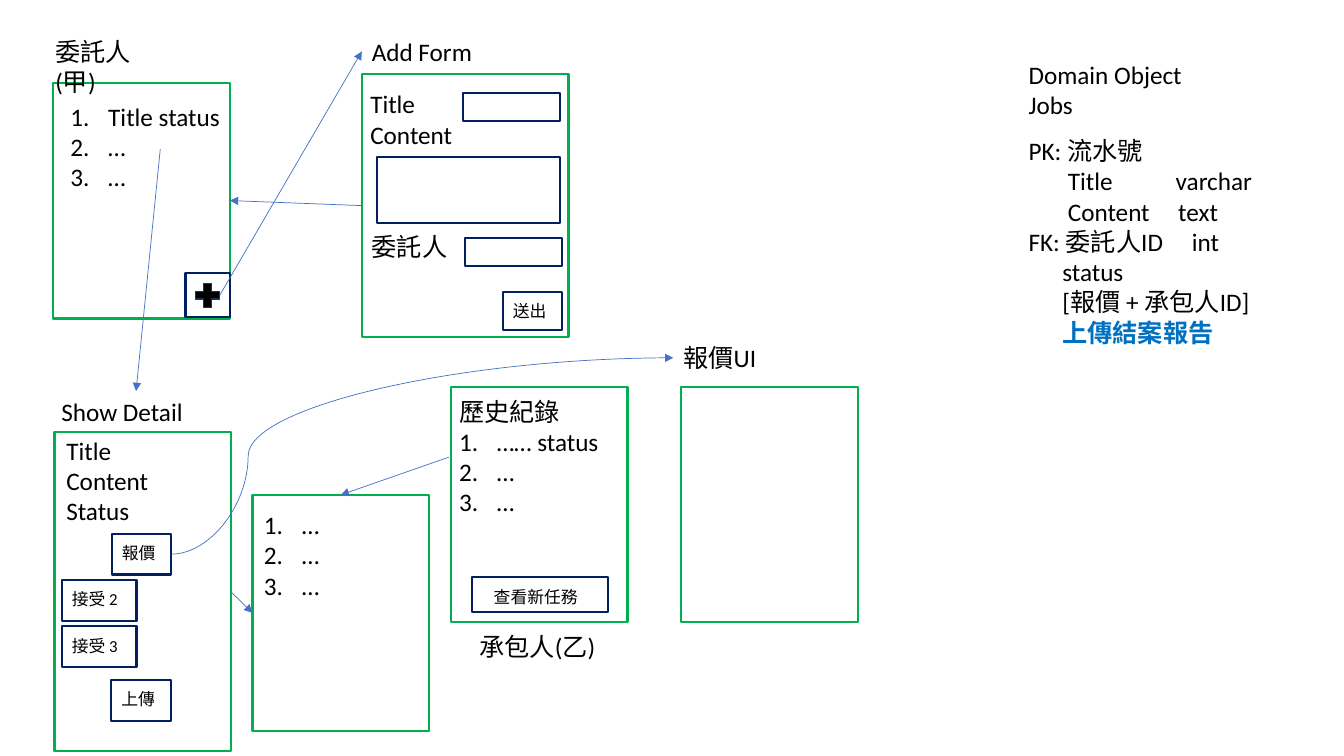
from dataclasses import dataclass
from typing import Any, Optional

import lxml.etree
import pptx
import pptx.dml.color
import pptx.enum.shapes
import pptx.enum.text
import pptx.oxml.ns
import pptx.util

SHAPE = pptx.enum.shapes.MSO_SHAPE
LINK = pptx.enum.shapes.MSO_CONNECTOR
TOP, LEFT, RIGHT = 0, 1, 3
CELL = pptx.util.Inches(0.1)
COLS, ROWS = 133.33, 75


@dataclass(frozen=True)
class Theme:
    font: str = "Calibri"
    ink: str = "000000"
    frame: str = "00B050"
    field: str = "002060"
    arrow: str = "4472C4"
    plus: str = "1E3256"
    accent: str = "0070C0"
    body: float = 18
    small: float = 12
    edge: float = 1.5
    thin: float = 0.5


@dataclass(frozen=True)
class Box:
    key: str
    x: float
    y: float
    w: float
    h: float


@dataclass(frozen=True)
class Line:
    text: str
    left: float = 0
    tabs: tuple[float, ...] = ()
    num: bool = False
    bold: bool = False
    color: str = Theme.ink


@dataclass(frozen=True)
class Label:
    box: Box
    lines: tuple[Line, ...]
    size: float = Theme.body


@dataclass(frozen=True)
class Arrow:
    start: Any
    end: Any
    bend: Optional[int] = None


def span(cells: float) -> int:
    return round(cells * CELL)


def tint(code: str) -> pptx.dml.color.RGBColor:
    return pptx.dml.color.RGBColor.from_string(code)


def child(node: Any, tag: str, **attrs: Any) -> Any:
    part = lxml.etree.SubElement(node, pptx.oxml.ns.qn(tag))
    for key, value in attrs.items():
        part.set(key, str(value))
    return part


def draw(slide: Any, box: Box, color: str, kind: Any = SHAPE.RECTANGLE,
         fill: Optional[str] = None, edge: float = Theme.edge) -> Any:
    shape = slide.shapes.add_shape(kind, *map(span, (box.x, box.y, box.w, box.h)))
    shape.shadow.inherit = False
    if fill:
        shape.fill.solid()
        shape.fill.fore_color.rgb = tint(fill)
    else:
        shape.fill.background()
    shape.line.color.rgb = tint(color)
    shape.line.width = pptx.util.Pt(edge)
    return shape


def write(para: Any, text: str, *, size: float, color: str, bold: bool,
          left: float, tabs: tuple[float, ...], num: bool) -> None:
    run = para.add_run()
    run.text = text
    run.font.name = Theme.font
    run.font.size = pptx.util.Pt(size)
    run.font.color.rgb = tint(color)
    if bold:
        run.font.bold = True
    props = para._p.get_or_add_pPr()
    if left:
        props.set("marL", str(span(left)))
        props.set("indent", str(span(-left) if num else 0))
    if num:
        child(props, "a:buFont", typeface="+mj-lt")
        child(props, "a:buAutoNum", type="arabicPeriod")
    if tabs:
        stops = child(props, "a:tabLst")
        for stop in tabs:
            child(stops, "a:tab", pos=span(stop), algn="l")


def place(slide: Any, label: Label) -> Any:
    box = label.box
    shape = slide.shapes.add_textbox(*map(span, (box.x, box.y, box.w, box.h)))
    frame = shape.text_frame
    frame.word_wrap = True
    frame.auto_size = pptx.enum.text.MSO_AUTO_SIZE.SHAPE_TO_FIT_TEXT
    for i, line in enumerate(label.lines):
        para = frame.add_paragraph() if i else frame.paragraphs[0]
        write(para, line.text, size=label.size, color=line.color, bold=line.bold,
              left=line.left, tabs=line.tabs, num=line.num)
    return shape


def join(slide: Any, arrow: Arrow, made: dict[str, Any]) -> None:
    kind = LINK.STRAIGHT if arrow.bend is None else LINK.CURVE
    ends = [(0, 0) if isinstance(end[0], str) else end for end in (arrow.start, arrow.end)]
    link = slide.shapes.add_connector(kind, *(span(n) for end in ends for n in end))
    for end, hook in ((arrow.start, link.begin_connect), (arrow.end, link.end_connect)):
        if isinstance(end[0], str):
            hook(made[end[0]], end[1])
    link.line.color.rgb = tint(Theme.arrow)
    link.line.width = pptx.util.Pt(Theme.thin)
    child(link.line._get_or_add_ln(), "a:tailEnd", type="triangle")
    child(link._element.spPr, "a:effectLst")
    if arrow.bend is not None:
        guide = link._element.xpath(".//a:avLst")[0]
        child(guide, "a:gd", name="adj1", fmla=f"val {arrow.bend}")


def plain(*texts: str) -> tuple[Line, ...]:
    return tuple(Line(text) for text in texts)


def count(*texts: str) -> tuple[Line, ...]:
    return tuple(Line(text, left=3.75, num=True) for text in texts)


FRAMES = (
    Box("Client", 5.3, 8.2, 17.5, 23.4), Box("Form", 35.9, 7.35, 20.5, 26.1),
    Box("Detail", 5.4, 42.85, 17.5, 31.7), Box("Tasks", 25.05, 49.1, 17.5, 23.4),
    Box("Past", 44.75, 38.4, 17.5, 23.35), Box("Quote", 67.6, 38.4, 17.5, 23.35),
)
FIELDS = (
    Box("Add", 18.4, 27.1, 4.4, 4.4), Box("Title field", 45.9, 9.2, 9.65, 2.8),
    Box("Content field", 37.4, 15.6, 18.15, 6.5), Box("Client field", 46.1, 23.6, 9.65, 2.75),
    Box("Send", 49.9, 28.95, 5.85, 3.8), Box("View", 46.8, 57.25, 13.5, 3.5),
    Box("Bid", 11.1, 52.95, 5.9, 4.05), Box("Accept 2", 6.15, 57.5, 7.4, 4.1),
    Box("Accept 3", 6.15, 62.1, 7.4, 4.1), Box("Upload", 11.0, 67.45, 5.95, 4.1),
)
PLUS = Box("Plus", 18.95, 27.7, 3.3, 3.2)
LABELS = (
    Label(Box("Client name", 4.5, 3.1, 13.2, 4), plain("委託人(甲)")),
    Label(Box("Client list", 6, 9.55, 17.5, 10.1), count("Title status", "…", "…")),
    Label(Box("Form name", 35.9, 3.1, 12.7, 4), plain("Add Form")),
    Label(Box("Title text", 35.75, 8.25, 8.6, 4), plain("Title")),
    Label(Box("Content text", 35.75, 11.35, 11.5, 4), plain("Content")),
    Label(Box("Client text", 35.9, 22.5, 14, 4), plain("委託人")),
    Label(Box("Domain", 101.05, 5.35, 17.5, 7.1), plain("Domain Object", "Jobs")),
    Label(Box("Schema", 101.05, 12.95, 29.5, 22.2), (
        Line("PK: 流水號"),
        Line("\tTitle\tvarchar", tabs=(3.9, 14.6)),
        Line("\tContent\ttext", tabs=(3.9, 14.85)),
        Line("FK: 委託人ID\tint", tabs=(16.2,)),
        Line("status", left=3.35),
        Line("[報價 + 承包人ID]", left=3.35),
        Line("上傳結案報告", left=3.35, bold=True, color=Theme.accent),
    )),
    Label(Box("Detail name", 5.1, 38.8, 16.8, 4), plain("Show Detail")),
    Label(Box("Past list", 44.55, 38.8, 17.5, 13.1),
          plain("歷史紀錄") + count("…… status", "…", "…")),
    Label(Box("Task list", 25.2, 50.05, 17.5, 10.1), count("…", "…", "…")),
    Label(Box("Agent name", 46.55, 62.15, 13.5, 4), plain("承包人(乙)")),
    Label(Box("Quote name", 66.8, 33.5, 16.8, 4), plain("報價UI")),
    Label(Box("Detail text", 5.6, 42.65, 11.7, 10.1), plain("Title", "Content", "Status")),
    Label(Box("Send text", 49.9, 29.35, 5.7, 3), plain("送出"), Theme.small),
    Label(Box("View text", 48, 57.7, 12.4, 3), plain("查看新任務"), Theme.small),
    Label(Box("Bid text", 11.1, 53.4, 5.7, 3), plain("報價"), Theme.small),
    Label(Box("Text 2", 6.15, 57.9, 7.4, 3), plain("接受 2"), Theme.small),
    Label(Box("Text 3", 6.15, 62.6, 7.4, 3), plain("接受 3"), Theme.small),
    Label(Box("Upload text", 11.05, 67.85, 5.7, 3), plain("上傳"), Theme.small),
)
ARROWS = (
    Arrow((21.8, 29.3), ("Form name", LEFT)),
    Arrow((15.9, 14.8), ("Detail name", TOP)),
    Arrow(("Form", LEFT), ("Client", RIGHT)),
    Arrow(("Detail", RIGHT), ("Tasks", LEFT)),
    Arrow(("Past list", LEFT), ("Tasks", TOP)),
    Arrow(("Bid", RIGHT), ("Quote name", LEFT), bend=15300),
)


def main() -> None:
    deck = pptx.Presentation()
    deck.slide_width, deck.slide_height = span(COLS), span(ROWS)
    slide = deck.slides.add_slide(deck.slide_layouts[6])
    made: dict[str, Any] = {}
    for group, color in ((FRAMES, Theme.frame), (FIELDS, Theme.field)):
        made.update({box.key: draw(slide, box, color) for box in group})
    draw(slide, PLUS, Theme.plus, SHAPE.MATH_PLUS, fill=Theme.ink, edge=1)
    made.update({label.box.key: place(slide, label) for label in LABELS})
    for arrow in ARROWS:
        join(slide, arrow, made)
    deck.save("out.pptx")


if __name__ == "__main__":
    main()
